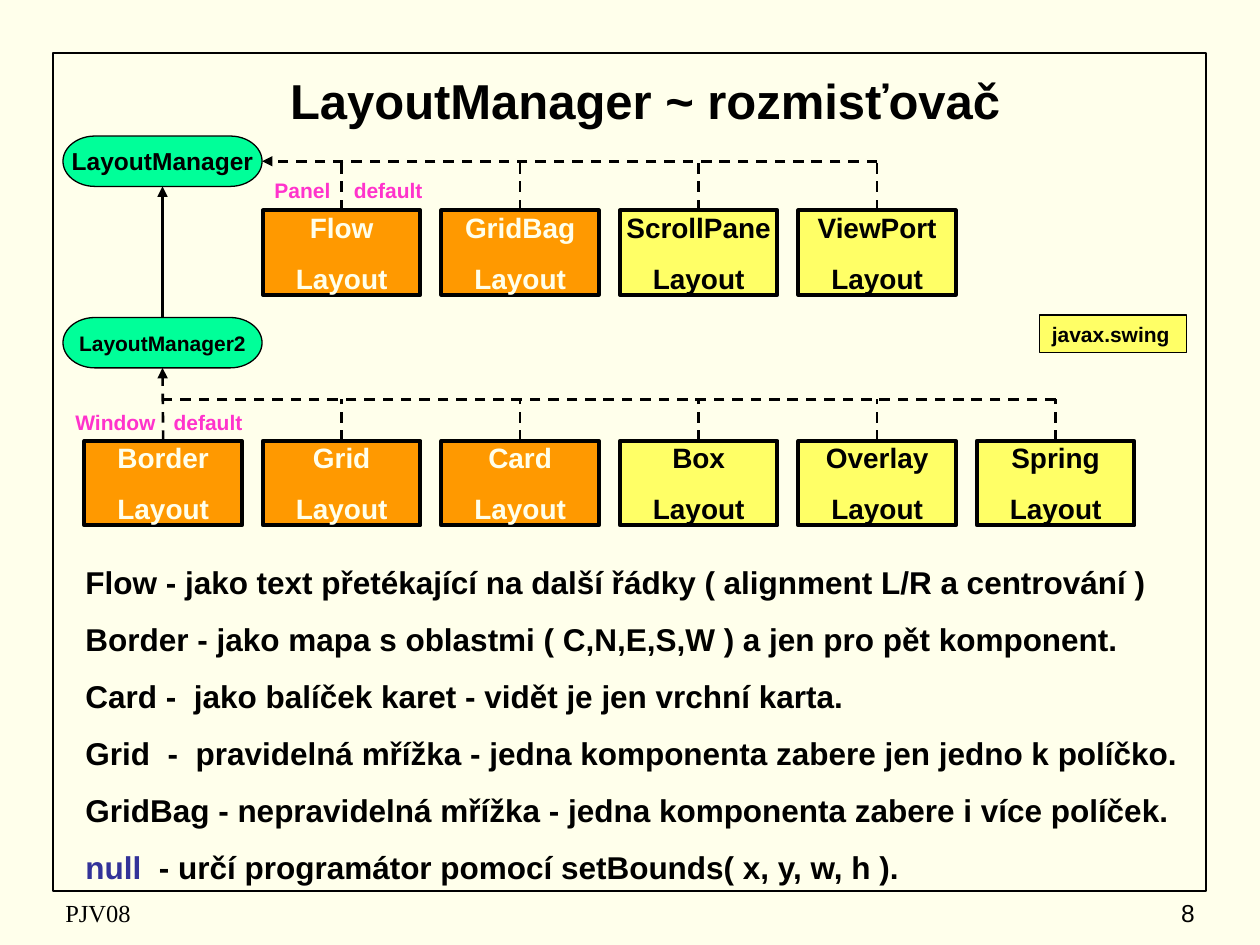
import dataclasses
import pptx
import pptx.dml.color
import pptx.enum.dml
import pptx.enum.shapes
import pptx.enum.text
import pptx.oxml
import pptx.oxml.ns
import pptx.util
from pptx.util import Inches

Kind = pptx.enum.shapes.MSO_SHAPE
Align = pptx.enum.text.PP_ALIGN
Anchor = pptx.enum.text.MSO_ANCHOR

CREAM, BLACK, GREEN = "FFFFEB", "000000", "00FF99"
ORANGE, YELLOW, PINK, NAVY = "FF9900", "FFFF66", "FF33CC", "333399"
LEFT, WIDE, HIGH = 0.67, 1.25, 0.67
PITCH = 17 / 12


@dataclasses.dataclass
class Style:
    size: float
    color: str = BLACK
    bold: bool = True
    face: str = "Arial"
    align: Align = Align.LEFT
    anchor: Anchor = Anchor.MIDDLE
    wrap: bool = True
    gap: float = 0


@dataclasses.dataclass
class Row:
    top: float
    bus: float
    start: int
    names: list[str]
    swing: int


@dataclasses.dataclass
class Label:
    left: float
    top: float
    words: str
    stop: float


def tint(code: str) -> pptx.dml.color.RGBColor:
    return pptx.dml.color.RGBColor.from_string(code)


def dress(run, style: Style, color: str) -> None:
    run.font.size = pptx.util.Pt(style.size)
    run.font.name = style.face
    run.font.bold = style.bold
    run.font.color.rgb = tint(color)


def write(shape, text: str, style: Style) -> None:
    frame = shape.text_frame
    frame.text = text
    frame.word_wrap = style.wrap
    frame.vertical_anchor = style.anchor
    for num, para in enumerate(frame.paragraphs):
        para.alignment = style.align
        if num and style.gap:
            para.space_before = pptx.util.Pt(style.gap)
        for run in para.runs:
            dress(run, style, style.color)


def note(slide, at: tuple, text: str, style: Style):
    box = slide.shapes.add_textbox(*map(Inches, at))
    write(box, text, style)
    return box


def block(slide, kind: Kind, at: tuple, fill: str | None, width: float):
    shape = slide.shapes.add_shape(kind, *map(Inches, at))
    shape.shadow.inherit = False
    if fill:
        shape.fill.solid()
        shape.fill.fore_color.rgb = tint(fill)
    else:
        shape.fill.background()
    shape.line.color.rgb = tint(BLACK)
    shape.line.width = pptx.util.Pt(width)
    return shape


def link(slide, start: tuple, end: tuple, dash: bool = True, arrow: bool = False):
    line = slide.shapes.add_connector(
        pptx.enum.shapes.MSO_CONNECTOR.STRAIGHT, *map(Inches, start + end))
    line.line.color.rgb = tint(BLACK)
    line.line.width = pptx.util.Pt(1.5)
    if dash:
        line.line.dash_style = pptx.enum.dml.MSO_LINE.DASH
    props = line._element.spPr
    if arrow:
        tail = pptx.oxml.parse_xml(
            f'<a:tailEnd {pptx.oxml.ns.nsdecls("a")} type="triangle"/>')
        props.find(pptx.oxml.ns.qn("a:ln")).append(tail)
    props.append(pptx.oxml.parse_xml(
        f'<a:effectLst {pptx.oxml.ns.nsdecls("a")}/>'))
    return line


def term(slide, top: float, text: str, size: float):
    shape = block(slide, Kind.FLOWCHART_TERMINATOR, (0.5, top, 1.58, 0.4), GREEN, 0.75)
    write(shape, text, Style(size, align=Align.CENTER, wrap=False))
    return shape


def draw_row(slide, row: Row) -> list:
    boxes = []
    for num, name in enumerate(row.names):
        left = LEFT + PITCH * (row.start + num)
        swing = num >= row.swing
        box = block(slide, Kind.RECTANGLE, (left, row.top, WIDE, HIGH),
                    YELLOW if swing else ORANGE, 2.25)
        write(box, f"{name}\nLayout",
              Style(16, BLACK if swing else CREAM, align=Align.CENTER, wrap=False, gap=10))
        boxes.append(box)
    return boxes


def stem(slide, box, row: Row, num: int) -> None:
    mid = LEFT + PITCH * (row.start + num) + WIDE / 2
    line = link(slide, (mid, row.top), (mid, row.bus))
    line.begin_connect(box, 0)


def draw_label(slide, label: Label) -> None:
    box = note(slide, (label.left, label.top, 1.6, 0.33), label.words,
               Style(12, PINK, anchor=Anchor.TOP))
    props = box.text_frame.paragraphs[0]._p.get_or_add_pPr()
    props.append(pptx.oxml.parse_xml(
        f'<a:tabLst {pptx.oxml.ns.nsdecls("a")}>'
        f'<a:tab pos="{Inches(label.stop)}" algn="l"/></a:tabLst>'))


def main() -> None:
    deck = pptx.Presentation()
    deck.slide_width, deck.slide_height = Inches(10), Inches(7.5)
    slide = deck.slides.add_slide(deck.slide_layouts[6])
    slide.background.fill.solid()
    slide.background.fill.fore_color.rgb = tint(CREAM)

    block(slide, Kind.RECTANGLE, (0.42, 0.42, 9.15, 6.65), None, 1)
    note(slide, (0.42, 7.08, 3.16, 0.33), "PJV08",
         Style(14, bold=False, face="Times New Roman"))
    note(slide, (7.5, 7.08, 2.08, 0.33), "8",
         Style(14, bold=False, align=Align.RIGHT))
    note(slide, (0.83, 0.5, 8.58, 0.58), "LayoutManager ~ rozmisťovač",
         Style(28, align=Align.CENTER))

    first = term(slide, 1.08, "LayoutManager", 14)
    second = term(slide, 2.52, "LayoutManager2", 12)
    up = link(slide, (1.29, 2.52), (1.29, 1.48), dash=False, arrow=True)
    up.begin_connect(second, 0)
    up.end_connect(first, 2)

    high = Row(1.67, 1.28, 1, ["Flow", "GridBag", "ScrollPane", "ViewPort"], 2)
    low = Row(3.5, 3.17, 0, ["Border", "Grid", "Card", "Box", "Overlay", "Spring"], 3)
    tops, lows = draw_row(slide, high), draw_row(slide, low)
    for num, box in enumerate(tops):
        stem(slide, box, high, num)
    for num, box in enumerate(lows[1:], 1):
        stem(slide, box, low, num)

    mid = LEFT + WIDE / 2
    bus = link(slide, (mid + 4 * PITCH, high.bus), (2.08, high.bus), arrow=True)
    bus.end_connect(first, 3)
    link(slide, (mid + 5 * PITCH, low.bus), (mid, low.bus))
    rise = link(slide, (mid, low.top), (mid, 2.92), arrow=True)
    rise.begin_connect(lows[0], 0)
    rise.end_connect(second, 2)

    for label in (Label(2.08, 1.36, "Panel\tdefault", 0.63),
                  Label(0.5, 3.2, "Window\tdefault", 0.78)):
        draw_label(slide, label)

    pack = block(slide, Kind.RECTANGLE, (8.25, 2.5, 1.17, 0.3), YELLOW, 0.75)
    write(pack, "javax.swing", Style(12, wrap=False))

    lines = [
        "Flow - jako text přetékající na další řádky ( alignment L/R a centrování )",
        "Border - jako mapa s oblastmi ( C,N,E,S,W ) a jen pro pět komponent.",
        "Card -  jako balíček karet - vidět je jen vrchní karta.",
        "Grid  -  pravidelná mřížka - jedna komponenta zabere jen jedno k políčko.",
        "GridBag - nepravidelná mřížka - jedna komponenta zabere i více políček.",
        "null",
    ]
    style = Style(18, anchor=Anchor.TOP, gap=11)
    body = note(slide, (0.58, 4.42, 8.92, 2.68), "\n".join(lines), style)
    last = body.text_frame.paragraphs[-1]
    last.add_run().text = "  - určí programátor pomocí setBounds( x, y, w, h )."
    for run, code in zip(last.runs, (NAVY, BLACK)):
        dress(run, style, code)

    deck.save("out.pptx")


if __name__ == "__main__":
    main()
